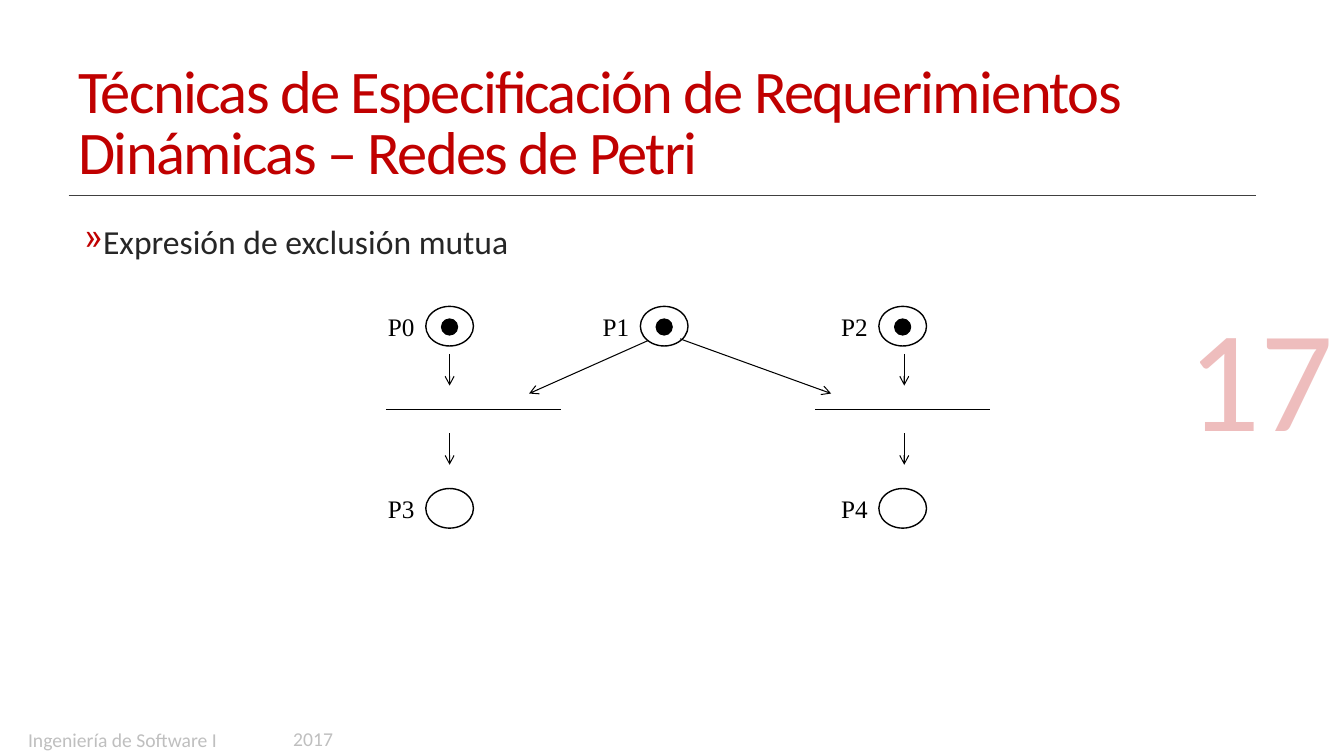
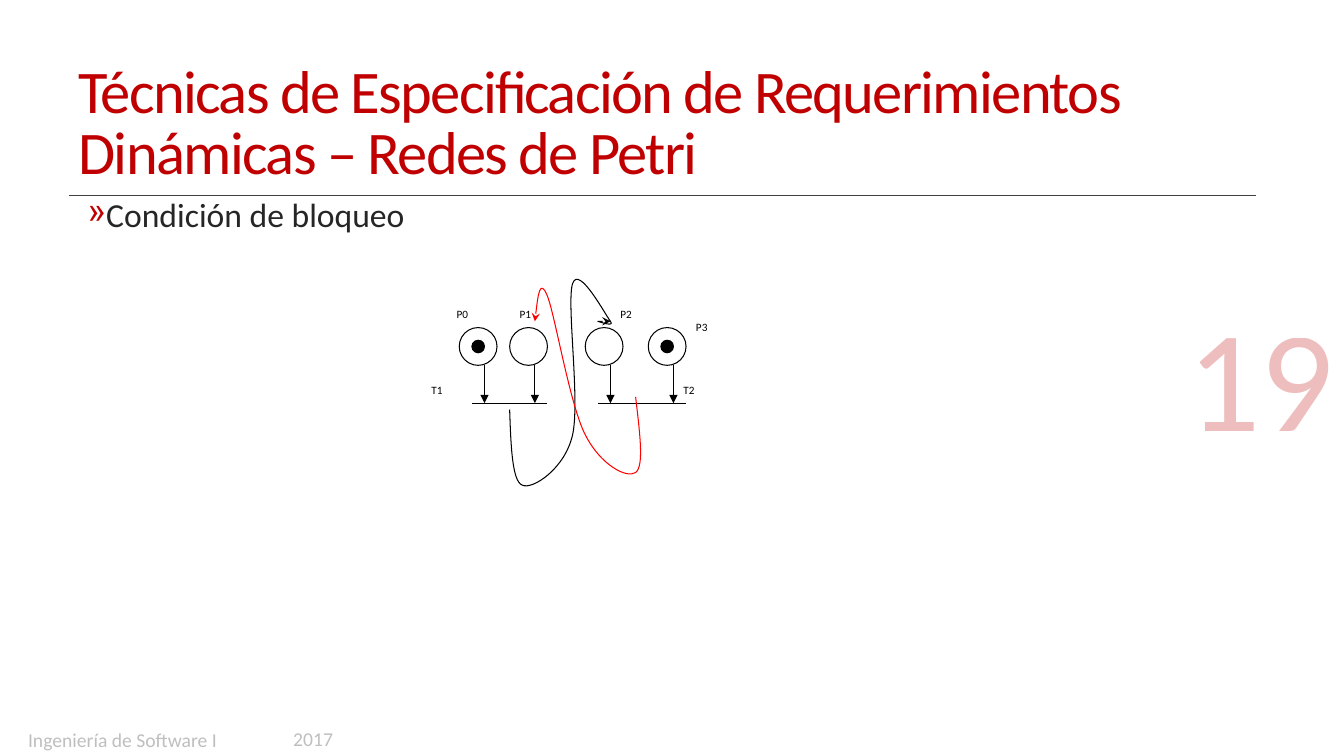
from dataclasses import dataclass

from pptx import Presentation
from pptx.dml.color import RGBColor
from pptx.enum.shapes import MSO_CONNECTOR as Connector, MSO_SHAPE as Shape
from pptx.enum.text import MSO_ANCHOR as Anchor, PP_ALIGN as Align
from pptx.oxml.ns import qn
from pptx.oxml.xmlchemy import OxmlElement
from pptx.util import Inches, Pt


@dataclass(frozen=True)
class Theme:
    accent: str = "C00000"
    rule: str = "404040"
    body: str = "262626"
    muted: str = "BFBFBF"
    ink: str = "000000"
    paper: str = "FFFFFF"
    loop: str = "FF0000"
    sans: str = "Calibri"
    serif: str = "Times New Roman"
    title_size: float = 43.2
    body_size: float = 24
    footer_size: float = 14
    number_size: float = 103
    place_size: float = 18
    small_size: float = 8
    thin: float = 0.75
    medium: float = 1


@dataclass(frozen=True)
class Grid:
    """A box in EMU, divided into equal columns and rows."""
    left: int
    top: int
    width: int
    height: int
    columns: float = 100
    rows: float = 100

    def point(self, column, row):
        return (round(self.left + self.width * column / self.columns),
                round(self.top + self.height * row / self.rows))

    def box(self, column, row, wide, high):
        left, top = self.point(column, row)
        right, bottom = self.point(column + wide, row + high)
        return left, top, right - left, bottom - top

    def region(self, area, columns, rows):
        return Grid(*self.box(*area), columns, rows)


THEME = Theme()
PAGE = Grid(0, 0, Inches(13.33), Inches(7.5))
TITLE = "Técnicas de Especificación de Requerimientos\vDinámicas – Redes de Petri"


def color(value):
    return RGBColor.from_string(value)


def assign(target, values):
    for name, value in values.items():
        setattr(target, name, value)


def add_child(parent, tag, **attributes):
    child = OxmlElement(tag)
    for name, value in attributes.items():
        child.set(name, str(value))
    parent.append(child)
    return child


def add_text(slide, box, text, size, ink, font=THEME.sans, frame=None, paragraph=None):
    """Place a one-paragraph text box and return its paragraph."""
    text_frame = slide.shapes.add_textbox(*box).text_frame
    assign(text_frame, {"word_wrap": True, **(frame or {})})
    line = text_frame.paragraphs[0]
    line.text = text
    assign(line, paragraph or {})
    for run in line.runs:
        assign(run.font, {"size": Pt(size), "name": font})
        run.font.color.rgb = color(ink)
    return line


def style_line(shape, ink, width, tail=None):
    shape.line.color.rgb = color(ink)
    shape.line.width = Pt(width)
    if tail:
        add_child(shape.line._get_or_add_ln(), "a:tailEnd", type=tail)


def add_line(slide, start, end, ink=THEME.ink, tail=None):
    line = slide.shapes.add_connector(Connector.STRAIGHT, *start, *end)
    style_line(line, ink, THEME.thin, tail)
    add_child(line._element.spPr, "a:effectLst")


def add_oval(slide, box, fill, width):
    oval = slide.shapes.add_shape(Shape.OVAL, *box)
    oval.shadow.inherit = False
    oval.fill.solid()
    oval.fill.fore_color.rgb = color(fill)
    style_line(oval, THEME.ink, width)


def add_curve(slide, points, ink):
    """Draw Bézier arcs: a start point, then three points for each arc."""
    builder = slide.shapes.build_freeform(*points[0], scale=1.0)
    builder.add_line_segments(points[1:], close=False)
    curve = builder.convert_to_shape()
    segments = curve._element.xpath(".//a:lnTo")
    for first in range(0, len(segments), 3):
        arc = OxmlElement("a:cubicBezTo")
        segments[first].addprevious(arc)
        for segment in segments[first:first + 3]:
            arc.append(segment[0])
            segment.getparent().remove(segment)
    curve.shadow.inherit = False
    curve.fill.background()
    style_line(curve, ink, THEME.thin, "stealth")


def add_number(slide, number):
    line = add_text(slide, PAGE.box(75.99, 40.53, 24.01, 20.4), number,
                    THEME.number_size, THEME.accent,
                    frame={"vertical_anchor": Anchor.BOTTOM, "margin_bottom": 0},
                    paragraph={"alignment": Align.RIGHT})
    for fill in line._p.iter(qn("a:srgbClr")):
        add_child(fill, "a:alpha", val=25000)


def add_bullet(slide, corner, text):
    line = add_text(slide, PAGE.box(*corner, 88.22, 54.93), text,
                    THEME.body_size, THEME.body,
                    paragraph={"line_spacing": 0.85, "space_before": Pt(13)})
    properties = line._p.get_or_add_pPr()
    properties.set("marL", str(Inches(0.1)))
    properties.set("indent", str(-Inches(0.1)))
    add_child(add_child(properties, "a:buClr"), "a:srgbClr", val=THEME.accent)
    add_child(properties, "a:buChar", char="»")


def add_page(presentation, number, bullet, bullet_corner):
    """Add a slide with the shared title, rule, footer and page number."""
    slide = presentation.slides.add_slide(presentation.slide_layouts[6])
    add_line(slide, PAGE.point(5.1, 25.87), PAGE.point(93.47, 25.87), THEME.rule)
    title = add_text(slide, PAGE.box(5.1, 7.33, 88.67, 18.53), TITLE,
                     THEME.title_size, THEME.accent,
                     frame={"vertical_anchor": Anchor.MIDDLE},
                     paragraph={"line_spacing": 0.85})
    for run in title.runs:
        run.font._element.set("spc", "-120")
    add_bullet(slide, bullet_corner, bullet)
    for box, text in (((21.08, 95.47, 6.75, 3.73), "2017"),
                      ((1.35, 95.6, 17.7, 3.07), "Ingeniería de Software I")):
        add_text(slide, PAGE.box(*box), text, THEME.footer_size, THEME.muted)
    add_number(slide, number)
    return slide


def draw_mutual_exclusion(slide, grid):
    places = (("P0", 6, 0, True), ("P1", 33, 0, True), ("P2", 63, 0, True),
              ("P3", 6, 23, False), ("P4", 63, 23, False))
    for name, column, row, marked in places:
        add_oval(slide, grid.box(column, row, 6, 5), THEME.paper, THEME.medium)
        add_text(slide, grid.box(column - 6, row, 6, 9), name, THEME.place_size,
                 THEME.ink, THEME.serif, frame={"margin_right": 0})
        if marked:
            add_oval(slide, grid.box(column + 2, row + 1.6, 2, 2),
                     THEME.ink, THEME.medium)
    for start in (1, 55):
        add_line(slide, grid.point(start, 13), grid.point(start + 22, 13))
    arrows = [((column, row), (column, row + 4))
              for column in (9, 66.2) for row in (6, 16)]
    arrows += [((34, 4.3), (19, 11)), ((38, 4.1), (57, 11))]
    for start, end in arrows:
        add_line(slide, grid.point(*start), grid.point(*end), tail="arrow")


def draw_deadlock(slide, grid):
    for column, marked in ((3, True), (7, False), (13, False), (18, True)):
        add_oval(slide, grid.box(column, 4, 3, 3), THEME.paper, THEME.thin)
        if marked:
            add_oval(slide, grid.box(column + 1, 5, 1, 1), THEME.ink, THEME.thin)
    for column in (5, 9, 15, 20):
        add_line(slide, grid.point(column, 7), grid.point(column, 10), tail="triangle")
    for start, end in ((4, 10), (14, 21)):
        add_line(slide, grid.point(start, 10), grid.point(end, 10))
    curves = {
        THEME.ink: ((7, 10.5), (7.1, 13.4), (7.2, 16.2), (8, 16.5),
                    (8.8, 16.9), (11.4, 15.2), (12, 12.5),
                    (12.6, 9.8), (11.5, 2), (12, 0.5),
                    (12.5, -1), (14.6, 3), (15, 3.5),
                    (15.4, 4), (14, 3.5), (14, 3.5),
                    (14, 3.5), (14.5, 3.5), (15, 3.5)),
        THEME.loop: ((17, 9.5), (17.3, 12.2), (17.7, 15), (17, 15.5),
                     (16.3, 16), (14.2, 14.9), (13, 12.5),
                     (11.8, 10.2), (10.6, 3), (10, 1.5),
                     (9.4, 0), (9.2, 1.8), (9, 3.5)),
    }
    for ink, points in curves.items():
        add_curve(slide, [grid.point(*point) for point in points], ink)
    labels = {"P0": (2, 2), "P1": (7, 2), "P2": (15, 2),
              "P3": (21, 3), "T1": (0, 8), "T2": (20, 8)}
    for name, corner in labels.items():
        add_text(slide, grid.box(*corner, 3, 3), name, THEME.small_size, THEME.ink)


def main():
    presentation = Presentation()
    assign(presentation, {"slide_width": PAGE.width, "slide_height": PAGE.height})
    slide = add_page(presentation, "17", "Expresión de exclusión mutua", (5.55, 29.33))
    draw_mutual_exclusion(slide, PAGE.region((28.13, 40.53, 45.54, 29.33), 77, 28))
    slide = add_page(presentation, "19", "Condición de bloqueo", (5.78, 25.87))
    draw_deadlock(slide, PAGE.region((31.36, 36.67, 22.5, 28.33), 24, 17))
    presentation.save("out.pptx")


if __name__ == "__main__":
    main()
